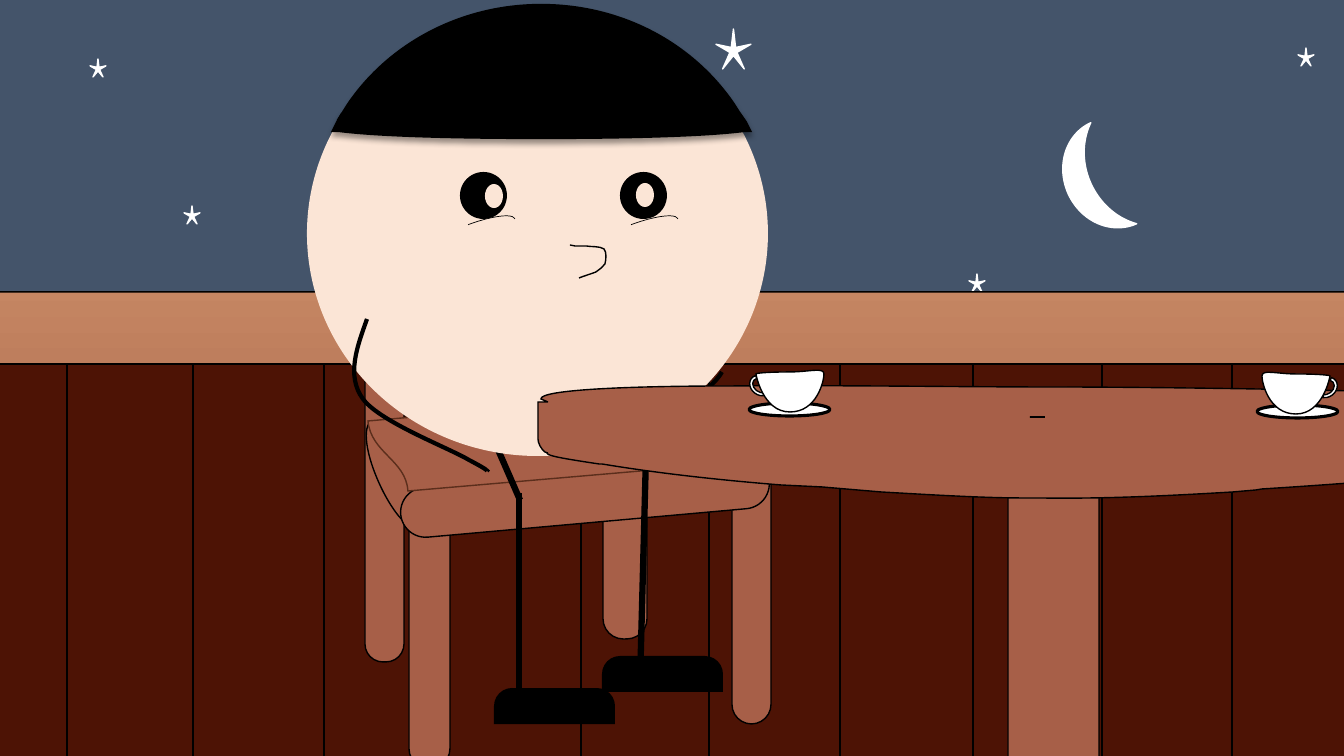
from copy import deepcopy
from math import cos, radians, sin

from pptx import Presentation
from pptx.dml.color import RGBColor
from pptx.enum.shapes import MSO_CONNECTOR, MSO_SHAPE
from pptx.oxml import parse_xml
from pptx.oxml.ns import nsdecls, qn
from pptx.util import Pt

WIDE, HIGH = 1344, 756
PX = 12192000 / WIDE
STEPS = 24
RECT, ROUND, OVAL = MSO_SHAPE.RECTANGLE, MSO_SHAPE.ROUNDED_RECTANGLE, MSO_SHAPE.OVAL
STAR, MOON, CAN = MSO_SHAPE.STAR_5_POINT, MSO_SHAPE.MOON, MSO_SHAPE.CAN
SHOE, ARC, RING = MSO_SHAPE.ROUND_2_SAME_RECTANGLE, MSO_SHAPE.ARC, MSO_SHAPE.BLOCK_ARC
STRAIGHT = MSO_CONNECTOR.STRAIGHT

HUES = {"night": "44546A", "white": "FFFFFF", "black": "000000", "plank": "4D1305",
        "wood": "A75F48", "seam": "5B2E1C", "skin": "FBE5D6",
        "light": "E0A678", "tan": "BE7E5D"}

STARS = [(716, 29, 35, 40), (969, 274, 16, 18), (1298, 48, 16, 18),
         (90, 59, 16, 18), (184, 206, 16, 18)]
CRESCENT = (1066, 128, 50, 111)
PLANKS = [(-62, 132), (67, 132), (193, 132), (324, 132), (447, 138), (581, 132),
          (709, 132), (840, 140), (973, 132), (1102, 132), (1232, 132)]
PLANK_TOP, PLANK_TALL = 345, 422
FRAME = [(-361, -332), (1590, -332), (1590, 364), (-361, 364)]
PANE = [(2, -223), (-140, -223, -255, -108, -255, 34), (-255, 292), (1485, 292),
        (1485, 206, 1485, 120, 1485, 34), (1485, -108, 1370, -223, 1228, -223)]
SHADES = [(0, "wood"), (0.55, "light"), (1, "tan")]

BACK_LEGS = [(603, 105, 44, 534), (365, 128, 39, 534)]
FRONT_LEGS = [(409, 484, 41, 285), (732, 460, 39, 264)]
RAIL = (560, 313, 50, 370)
SIDE = [(369, 423), (377, 415, 470, 501, 420, 522), (406, 549, 354, 449, 369, 423)]
SEAT = [(640, 397), (368, 421), (371, 453, 406, 460, 408, 491), (745, 462)]

LEGS = [(479, 406, 520, 500), (519, 493, 519, 709), (647, 418, 640, 685)]
HEAD = (307, 11, 461, 445)
SHOES = [(602, 656, 121, 36), (494, 688, 121, 36)]
EYES = [(460, 172, 47, 47), (620, 172, 47, 47)]
GLINTS = [(485, 184, 18, 24), (636, 183, 18, 24)]
LIDS = [(426, 224, 92, 22), (589, 224, 92, 22)]
NEAR_ARM = [(367, 319), (357, 347, 346, 376, 363, 399), (380, 422, 449, 448, 469, 460),
            (490, 471, 487, 471, 487, 471)]
FAR_ARM = [(722, 372), (708, 397, 643, 431, 624, 446), (606, 461, 609, 460, 609, 460)]
NOSE = [(570, 245), (572, 245, 572, 246, 575, 246), (578, 246, 581, 246, 586, 246),
        (591, 247, 600, 246, 604, 249), (607, 252, 606, 260, 605, 264),
        (603, 267, 600, 269, 596, 272), (591, 274, 584, 276, 579, 278)]
BRIM = [(541, 109), (462, 109, 391, 111, 350, 115), (343, 116), (339, 123), (336, 129),
        (339, 129), (378, 134, 454, 136, 541, 136), (629, 136, 705, 134, 744, 129),
        (747, 129), (744, 123), (739, 116), (732, 115), (691, 111, 621, 109, 541, 109)]
HAIR = [(541, 7), (462, 7, 391, 45, 350, 105), (343, 116), (350, 115),
        (391, 111, 462, 109, 541, 109), (621, 109, 691, 111, 732, 115),
        (739, 116), (732, 105), (691, 45, 621, 7, 541, 7)]

POST = (1008, 465, 91, 377)
MARK = [(1030, 417), (1041, 417), (1045, 417)]
TABLE = [(730, 386), (835, 385, 962, 387, 1045, 387), (1213, 387, 1545, 393, 1545, 402),
         (1539, 403), (1548, 403), (1548, 444), (1548, 449, 1548, 460, 1542, 460),
         (1535, 461), (1543, 462), (1543, 467, 1406, 480, 1262, 489), (1256, 490),
         (1233, 492), (1166, 496, 1101, 499, 1040, 498), (1035, 498), (1025, 498),
         (984, 498, 934, 495, 881, 492), (822, 487), (781, 485),
         (718, 480, 656, 473, 602, 464), (599, 464), (566, 459, 547, 456, 547, 453),
         (548, 453), (545, 452), (541, 449, 538, 443, 538, 439), (538, 402), (548, 402),
         (541, 399), (540, 390, 624, 386, 730, 386)]
CUPS = [(790, 370, -1), (1296, 372, 1)]
BOWL = [(-34, 4), (-34, -3, -19, 2, 0, 2), (19, 2, 34, 3, 34, 4),
        (34, 5, 27, 42, 0, 42), (-27, 42, -34, 11, -34, 4)]


def emu(n):
    return round(n * PX)


def hue(name):
    return RGBColor.from_string(HUES[name])


def paint(shape, fill, line, width):
    shape.shadow.inherit = False
    if fill:
        shape.fill.solid()
        shape.fill.fore_color.rgb = hue(fill)
    else:
        shape.fill.background()
    if line:
        shape.line.color.rgb = hue(line)
        shape.line.width = Pt(width)
    else:
        shape.line.fill.background()
    return shape


def put(kind, box, fill, line=None, width=1, turn=0, adj=()):
    shape = shapes.add_shape(kind, *map(emu, box))
    shape.rotation = turn
    for i, value in enumerate(adj):
        shape.adjustments[i] = value
    return paint(shape, fill, line, width)


def spin(x, y, turn):
    a = radians(turn)
    return x * cos(a) - y * sin(a), x * sin(a) + y * cos(a)


def curve(start, part):
    for k in range(1, STEPS + 1):
        t, u = k / STEPS, 1 - k / STEPS
        yield tuple(u**3 * start[i] + 3 * u * u * t * part[i]
                    + 3 * u * t * t * part[2 + i] + t**3 * part[4 + i] for i in (0, 1))


def draw(routes, fill=None, line="black", width=1, turn=0):
    routes = [[[spin(*part[i:i + 2], -turn) for i in range(0, len(part), 2)]
               for part in route] for route in routes]
    dots = []
    for route in routes:
        for part in route:
            if len(part) == 3:
                dots += curve(dots[-1], sum(part, ()))
            else:
                dots += part
    xs, ys = zip(*dots)
    left, top = min(xs), min(ys)
    wide, tall = max(xs) - left, max(ys) - top
    midx, midy = spin(left + wide / 2, top + tall / 2, turn)

    pen = shapes.build_freeform(0, 0)
    pen.add_line_segments([(emu(wide), emu(tall))], close=False)
    shape = pen.convert_to_shape(emu(midx - wide / 2), emu(midy - tall / 2))
    shape.rotation = turn
    track = next(shape.element.iter(qn("a:path")))
    for step in list(track):
        track.remove(step)
    for route in routes:
        for n, part in enumerate(route):
            tag = "moveTo" if n == 0 else "cubicBezTo" if len(part) == 3 else "lnTo"
            spots = "".join(f'<a:pt x="{emu(x - left)}" y="{emu(y - top)}"/>'
                            for x, y in part)
            track.append(parse_xml(f"<a:{tag} {nsdecls('a')}>{spots}</a:{tag}>"))
        if fill:
            track.append(parse_xml(f"<a:close {nsdecls('a')}/>"))
    paint(shape, fill, line, width)
    shape.element.spPr.find(qn("a:ln")).append(
        parse_xml(f'<a:miter {nsdecls("a")} lim="800000"/>'))
    return shape


def shade(shape):
    props = shape.element.spPr
    props.remove(props.find(qn("a:effectLst")))
    props.append(parse_xml(
        f'<a:effectLst {nsdecls("a")}><a:outerShdw blurRad="{Pt(4)}" dist="{Pt(3)}" '
        f'dir="5400000" rotWithShape="0"><a:srgbClr val="{HUES["black"]}">'
        '<a:alpha val="40000"/></a:srgbClr></a:outerShdw></a:effectLst>'))


def join(ends, width):
    rod = shapes.add_connector(STRAIGHT, *map(emu, ends))
    rod.line.color.rgb = hue("black")
    rod.line.width = Pt(width)
    rod.element.spPr.append(parse_xml(f"<a:effectLst {nsdecls('a')}/>"))


def cup(x, y, side):
    ear = put(RING, (x + side * 30 - 11, y + 6, 23, 19), "white", "black",
              turn=180 - side * 37.6, adj=(92.54, 196.83, 0.16))
    if side < 0:
        ear.element.spPr.xfrm.set("flipH", "1")
    put(OVAL, (x + side - 40, y + 33, 81, 13), "white", "black", 2.25)
    draw([[tuple(y + n if i % 2 else x + side * n for i, n in enumerate(part))
           for part in BOWL]], "white")


deck = Presentation()
deck.slide_width, deck.slide_height = emu(WIDE), emu(HIGH)
slide = deck.slides.add_slide(deck.slide_layouts[6])
shapes = slide.shapes
slide.background.fill.solid()
slide.background.fill.fore_color.rgb = hue("night")

for box in STARS:
    put(STAR, box, "white", "white", adj=(0.1,))
put(MOON, CRESCENT, "white", "white", turn=335.6)
for left, wide in PLANKS:
    put(RECT, (left, PLANK_TOP, wide, PLANK_TALL), "plank", "black")
frame = draw([FRAME, PANE], "tan")
frame.fill.gradient()
frame.fill.gradient_angle = 270
stops = next(frame.element.iter(qn("a:gsLst")))
stops.append(deepcopy(stops[-1]))
for stop, (spot, name) in zip(frame.fill.gradient_stops, SHADES):
    stop.position = spot
    stop.color.rgb = hue(name)

for box in BACK_LEGS:
    put(ROUND, box, "wood", "black", adj=(0.46,))
draw([SIDE], "wood", turn=264.9)
for box in FRONT_LEGS:
    put(ROUND, box, "wood", "black", adj=(0.5,))
put(ROUND, RAIL, "wood", "black", turn=264.9, adj=(0.5,))
draw([SEAT], "wood", "seam", turn=354.3)

for ends in LEGS:
    join(ends, 4.5)
put(OVAL, HEAD, "skin")
for box in SHOES:
    put(SHOE, box, "black", adj=(0.5, 0))
draw([NEAR_ARM], width=3, turn=351.9)
draw([FAR_ARM], width=3)
draw([NOSE], turn=342.5)
for box in EYES:
    put(OVAL, box, "black")
for box in GLINTS:
    put(OVAL, box, "skin")
for route in (BRIM, HAIR):
    shade(draw([route], "black", width=4.5))
for box in LIDS:
    put(ARC, box, None, "black", 0.5, 339.4)

put(CAN, POST, "wood", "black")
draw([MARK, TABLE], "wood")
for spot in CUPS:
    cup(*spot)

deck.save("out.pptx")
